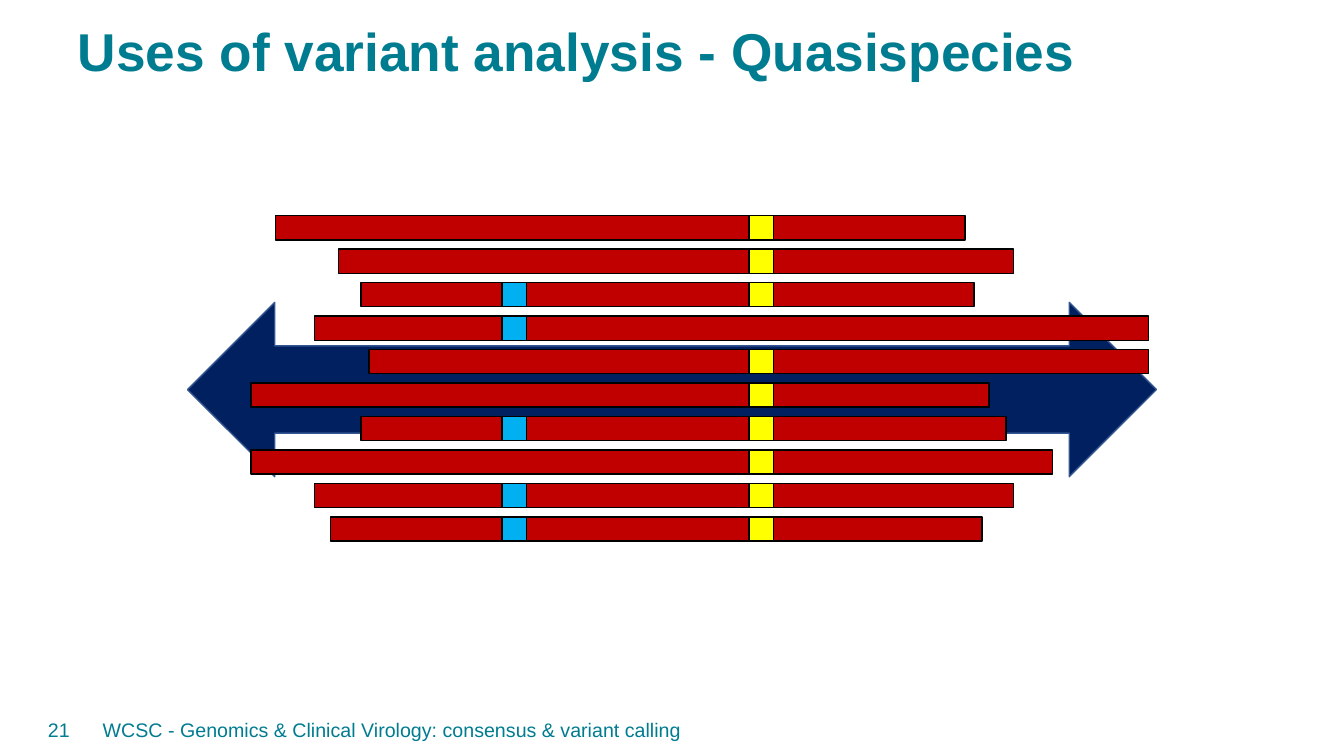
from pptx import Presentation
from pptx.dml.color import RGBColor
from pptx.enum.shapes import MSO_SHAPE
from pptx.enum.text import MSO_ANCHOR, PP_ALIGN
from pptx.util import Inches, Pt

RECT = MSO_SHAPE.RECTANGLE
DOUBLE_ARROW = MSO_SHAPE.LEFT_RIGHT_ARROW
TOP, MIDDLE = MSO_ANCHOR.TOP, MSO_ANCHOR.MIDDLE
LEFT, RIGHT = PP_ALIGN.LEFT, PP_ALIGN.RIGHT

COLORS = {
    "teal": "007C91",
    "genome": "002060",
    "genome_line": "325491",
    "read": "C00000",
    "common": "FFFF00",
    "minor": "00B0F0",
    "black": "000000",
}

READ_TOP, READ_PITCH, READ_HEIGHT = 2.14, 0.332, 0.24
VARIANT_X = {"common": 7.43, "minor": 4.98}
READS = [
    (2.73, 6.84, ["common"]),
    (3.36, 6.69, ["common"]),
    (3.58, 6.08, ["common", "minor"]),
    (3.12, 8.27, ["minor"]),
    (3.66, 7.73, ["common"]),
    (2.49, 7.32, ["common"]),
    (3.58, 6.40, ["common", "minor"]),
    (2.49, 7.95, ["common"]),
    (3.12, 6.93, ["common", "minor"]),
    (3.28, 6.46, ["common", "minor"]),
]


def color(name):
    return RGBColor.from_string(COLORS[name])


def write(tf, text, size=14, bold=False, align=LEFT, anchor=MIDDLE, spacing=1.0):
    tf.word_wrap = True
    tf.vertical_anchor = anchor
    p = tf.paragraphs[0]
    p.alignment = align
    p.line_spacing = spacing
    r = p.add_run()
    r.text = text
    r.font.name = "Arial"
    r.font.size = Pt(size)
    r.font.bold = bold
    r.font.color.rgb = color("teal")


class SlideBuilder:
    def __init__(self, prs):
        self.s = prs.slides.add_slide(prs.slide_layouts[5])

    def title(self, text, x, y, w, h):
        sp = self.s.shapes.title
        sp.left, sp.top, sp.width, sp.height = map(Inches, (x, y, w, h))
        write(sp.text_frame, text, size=38, bold=True, anchor=TOP, spacing=0.9)

    def text(self, text, x, y, w, h, **fmt):
        sp = self.s.shapes.add_textbox(*map(Inches, (x, y, w, h)))
        write(sp.text_frame, text, **fmt)

    def group(self):
        return self.s.shapes.add_group_shape()

    def shape(self, group, kind, x, y, w, h, fill, line="black"):
        sp = group.shapes.add_shape(kind, *map(Inches, (x, y, w, h)))
        sp.shadow.inherit = False
        sp.fill.solid()
        sp.fill.fore_color.rgb = color(fill)
        sp.line.color.rgb = color(line)
        sp.line.width = Pt(1)


def main():
    prs = Presentation()
    prs.slide_width, prs.slide_height = Inches(13.33), Inches(7.5)
    slide = SlideBuilder(prs)
    slide.title("Uses of variant analysis - Quasispecies", 0.67, 0.2, 12.17, 1.06)
    slide.text("WCSC - Genomics & Clinical Virology: consensus & variant calling",
               0.92, 7.04, 10.94, 0.4)
    slide.text("21", 0.14, 7.04, 0.65, 0.4, align=RIGHT)

    alignment = slide.group()
    slide.shape(alignment, DOUBLE_ARROW, 1.86, 3, 9.61, 1.73, "genome", "genome_line")
    for i, (x, width, variants) in enumerate(READS):
        y = READ_TOP + i * READ_PITCH
        slide.shape(alignment, RECT, x, y, width, READ_HEIGHT, "read")
        for variant in variants:
            slide.shape(alignment, RECT, VARIANT_X[variant], y,
                        READ_HEIGHT, READ_HEIGHT, variant)
    prs.save("out.pptx")


if __name__ == "__main__":
    main()
